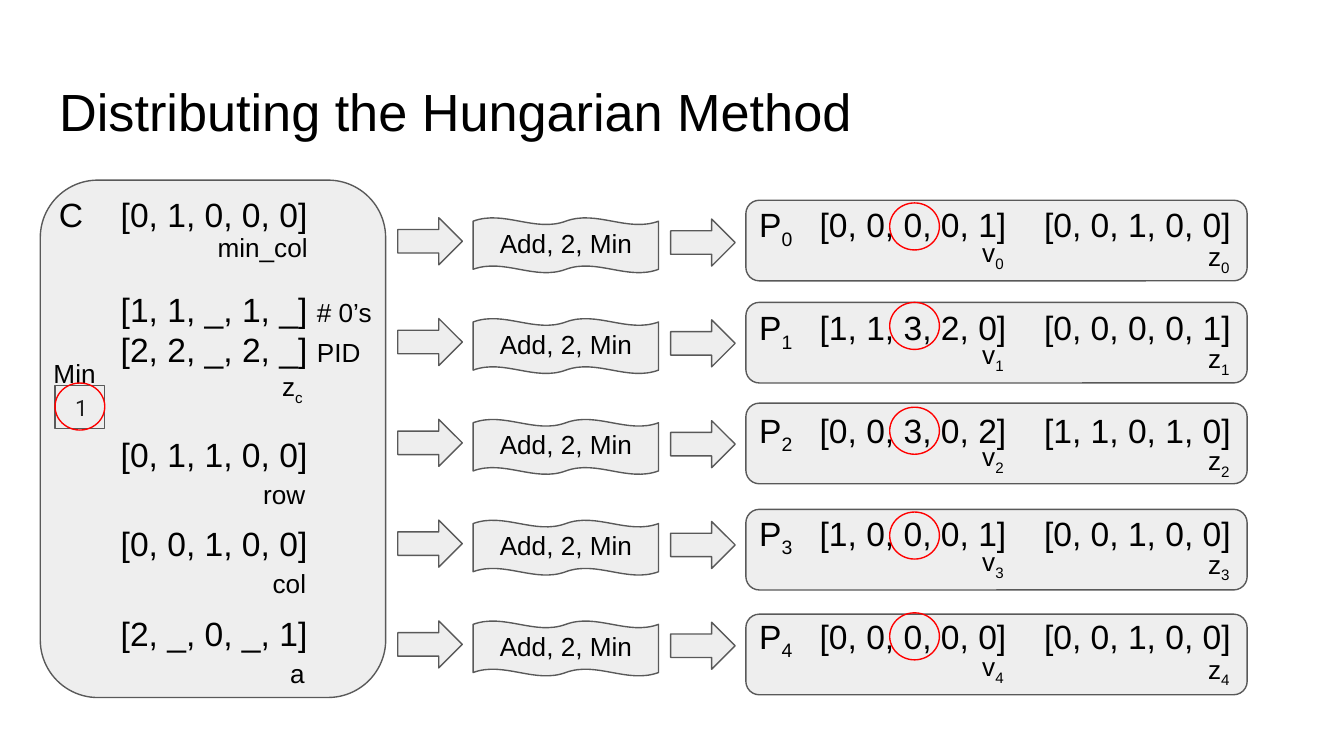
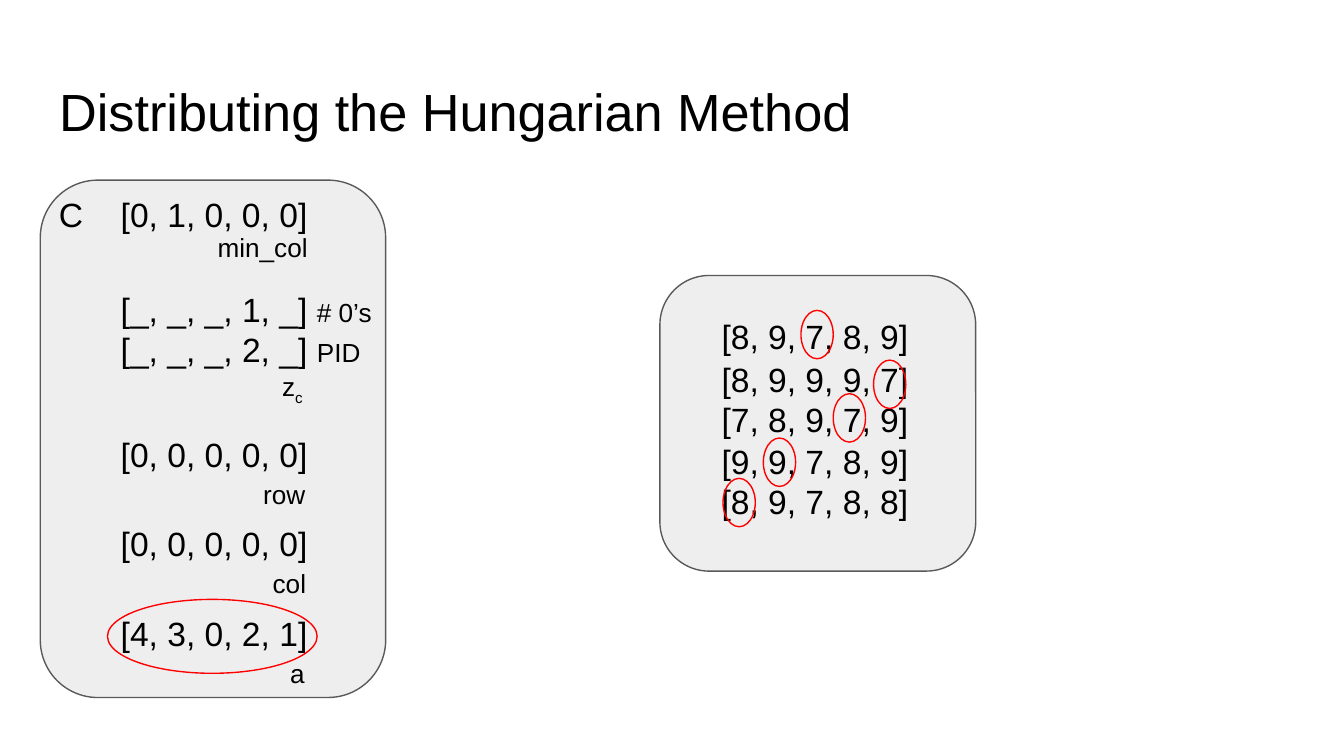
"""Build two slides on distributing the Hungarian method."""
import dataclasses

import lxml.etree
import pptx
import pptx.dml.color
import pptx.enum.shapes
import pptx.enum.text
import pptx.oxml.ns
import pptx.util


@dataclasses.dataclass(frozen=True)
class Theme:
    font: str = "Arial"
    mono: str = "Roboto"
    ink: str = "000000"
    dark: str = "222222"
    fill: str = "EEEEEE"
    edge: str = "595959"
    ring: str = "FF0000"
    line: float = 0.75
    head: int = 28
    big: int = 18
    mid: int = 14
    tiny: int = 12


look = Theme()
rgb = pptx.dml.color.RGBColor.from_string
kind = pptx.enum.shapes.MSO_SHAPE
deck = pptx.Presentation()
deck.slide_width = pptx.util.Inches(10)
deck.slide_height = deck.slide_width * 9 // 16
cell = deck.slide_width // 100


def draw(slide, form, left, top, wide, high, ring=False):
    """Draw a grey shape, or a hollow red one, in grid cells."""
    item = slide.shapes.add_shape(form, *(int(n * cell) for n in (left, top, wide, high)))
    item.shadow.inherit = False
    item.line.width = pptx.util.Pt(look.line)
    item.line.color.rgb = rgb(look.ring if ring else look.edge)
    if ring:
        item.fill.background()
    else:
        item.fill.solid()
        item.fill.fore_color.rgb = rgb(look.fill)


def write(slide, left, top, wide, *paras, high=4.3, tabs=(), box=None, font=look.font, ink=look.ink):
    """Write paragraphs of (text, size, baseline) runs in a box."""
    place = [int(n * cell) for n in (left, top, wide, high)]
    if box is None:
        box = slide.shapes.add_textbox(*place)
    box.left, box.top, box.width, box.height = place
    frame = box.text_frame
    frame.word_wrap = True
    frame.auto_size = pptx.enum.text.MSO_AUTO_SIZE.NONE
    frame.vertical_anchor = pptx.enum.text.MSO_ANCHOR.TOP
    frame.margin_left = frame.margin_right = frame.margin_top = frame.margin_bottom = cell
    for i, runs in enumerate(paras):
        para = frame.add_paragraph() if i else frame.paragraphs[0]
        para.alignment = pptx.enum.text.PP_ALIGN.LEFT
        if tabs:
            stops = lxml.etree.SubElement(para._p.get_or_add_pPr(), pptx.oxml.ns.qn("a:tabLst"))
            for stop in tabs:
                lxml.etree.SubElement(stops, pptx.oxml.ns.qn("a:tab"), pos=str(int(stop * cell)), algn="l")
        for text, size, *base in runs:
            run = para.add_run()
            run.text = text
            run.font.size = pptx.util.Pt(size)
            run.font.name = font
            run.font.color.rgb = rgb(ink)
            if base:
                run._r.get_or_add_rPr().set("baseline", str(base[0] * 1000))
    return frame


sub = -25
states = [
    ("[1, 1, _, 1, _] ", "[2, 2, _, 2, _] ", "[0, 1, 1, 0, 0]", "[0, 0, 1, 0, 0]", "[2, _, 0, _, 1]"),
    ("[_, _, _, 1, _] ", "[_, _, _, 2, _] ", "[0, 0, 0, 0, 0]", "[0, 0, 0, 0, 0]", "[4, 3, 0, 2, 1]"),
]
names = [("row", 18.6), ("col", 19.3), ("a", 20.6)]
slides = []
for zeros, pids, *lists in states:
    slide = deck.slides.add_slide(deck.slide_layouts[5])
    slides.append(slide)
    write(slide, 3.4, 4.9, 93.2, [("Distributing the Hungarian Method", look.head)],
          high=6.3, box=slide.shapes.title)
    draw(slide, kind.ROUNDED_RECTANGLE, 3, 13.4, 25.7, 38.5)
    write(slide, 3.4, 13.4, 24.4, [("C\t[0, 1, 0, 0, 0]", look.big)], tabs=[4.6])
    write(slide, 15.2, 16.2, 10.1, [("min_col", look.mid)])
    write(slide, 8, 20.5, 22.1, [(zeros, look.big), ("# 0’s", look.mid)],
          [(pids, look.big), ("PID", look.mid)])
    write(slide, 20, 26.6, 10.1, [("z", look.mid), ("c", look.mid, sub)])
    for i, (items, (name, left)) in enumerate(zip(lists, names)):
        top = 31.3 + 6.65 * i
        write(slide, 8, top, 24.4, [(items, look.big)])
        write(slide, left, top + 3.3, 8.8, [(name, look.mid)])

first, last = slides
write(first, 3, 25.6, 23.4, [("Min", look.mid)], high=4.6)
draw(first, kind.RECTANGLE, 4.1, 28.7, 3.7, 3.2)
count = write(first, 4.6, 28.9, 4.8, [("1", look.tiny)], high=2.8, font=look.mono, ink=look.dark)
count.vertical_anchor = pptx.enum.text.MSO_ANCHOR.MIDDLE
draw(first, kind.OVAL, 4.1, 28.5, 3.7, 3.5, ring=True)

procs = [
    ("[0, 0, 0, 0, 1]", "[0, 0, 1, 0, 0]", 14.9, 15.1, 16.6, 16.9),
    ("[1, 1, 3, 2, 0]", "[0, 0, 0, 0, 1]", 22.5, 22.5, 24.2, 24.5),
    ("[0, 0, 3, 0, 2]", "[1, 1, 0, 1, 0]", 30, 30.3, 31.8, 32.1),
    ("[1, 0, 0, 0, 1]", "[0, 0, 1, 0, 0]", 37.9, 38.1, 39.6, 39.8),
    ("[0, 0, 0, 0, 0]", "[0, 0, 1, 0, 0]", 45.7, 45.6, 47.4, 47.6),
]
for i, (vals, marks, panel, ring, vtop, ztop) in enumerate(procs):
    flow = 16.2 + 7.5 * i
    draw(first, kind.ROUNDED_RECTANGLE, 55.5, panel, 37.3, 6)
    write(first, 55.5, 14.2 + 7.65 * i, 41.1,
          [("P", look.big), (str(i), look.big, sub), (f"\t{vals}\t{marks}", look.big)],
          tabs=[4.5, 21.2])
    for name, left, top in (("v", 72.1, vtop), ("z", 88.9, ztop)):
        write(first, left, top, 10.1, [(name, look.mid), (str(i), look.mid, sub)])
    draw(first, kind.DOUBLE_WAVE, 35.2, flow, 13.8, 4.1)
    write(first, 36.2, flow - 0.3, 16.5, [("Add, 2, Min", look.mid)])
    draw(first, kind.RIGHT_ARROW, 29.6, flow, 4.8, 3.5)
    draw(first, kind.RIGHT_ARROW, 49.9, flow + 0.1, 4.8, 3.5)
    draw(first, kind.OVAL, 66.2, ring, 3.7, 3.5, ring=True)

draw(last, kind.ROUNDED_RECTANGLE, 49.1, 20.5, 23.5, 22)
costs = [
    (22.5, ["[8, 9, 7, 8, 9]"]),
    (25.7, ["[8, 9, 9, 9, 7]", "[7, 8, 9, 7, 9]"]),
    (31.8, ["[9, 9, 7, 8, 9]", "[8, 9, 7, 8, 8]"]),
]
for top, rows in costs:
    write(last, 52.7, top, 16.2, *([(row, look.big)] for row in rows))
for left, top in [(59.6, 23.1), (65, 26.8), (62, 29.3), (56.8, 32.6), (53.8, 35.6)]:
    draw(last, kind.OVAL, left, top, 2.4, 3.6, ring=True)
draw(last, kind.OVAL, 8, 44.6, 15.6, 5.5, ring=True)

deck.save("out.pptx")
